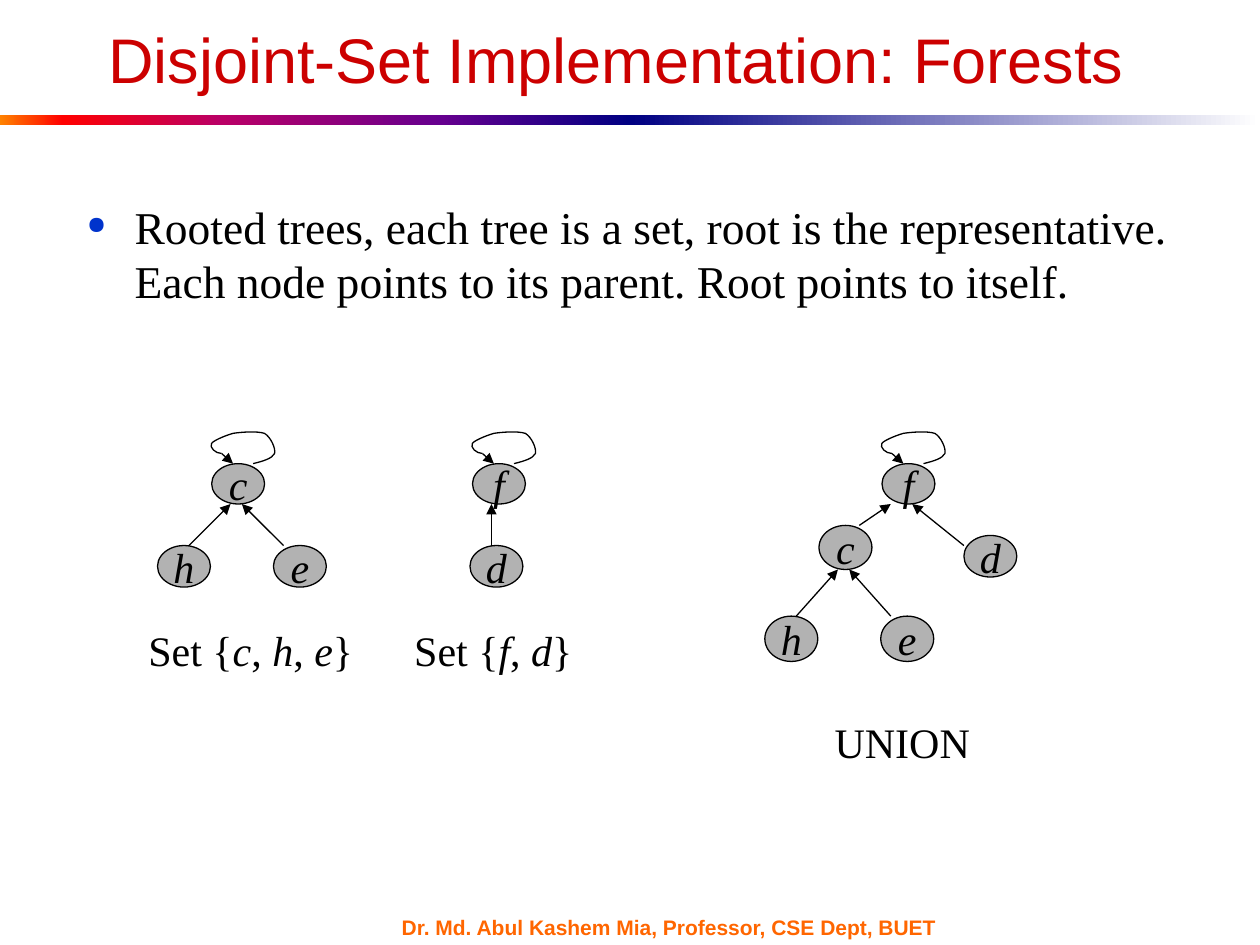
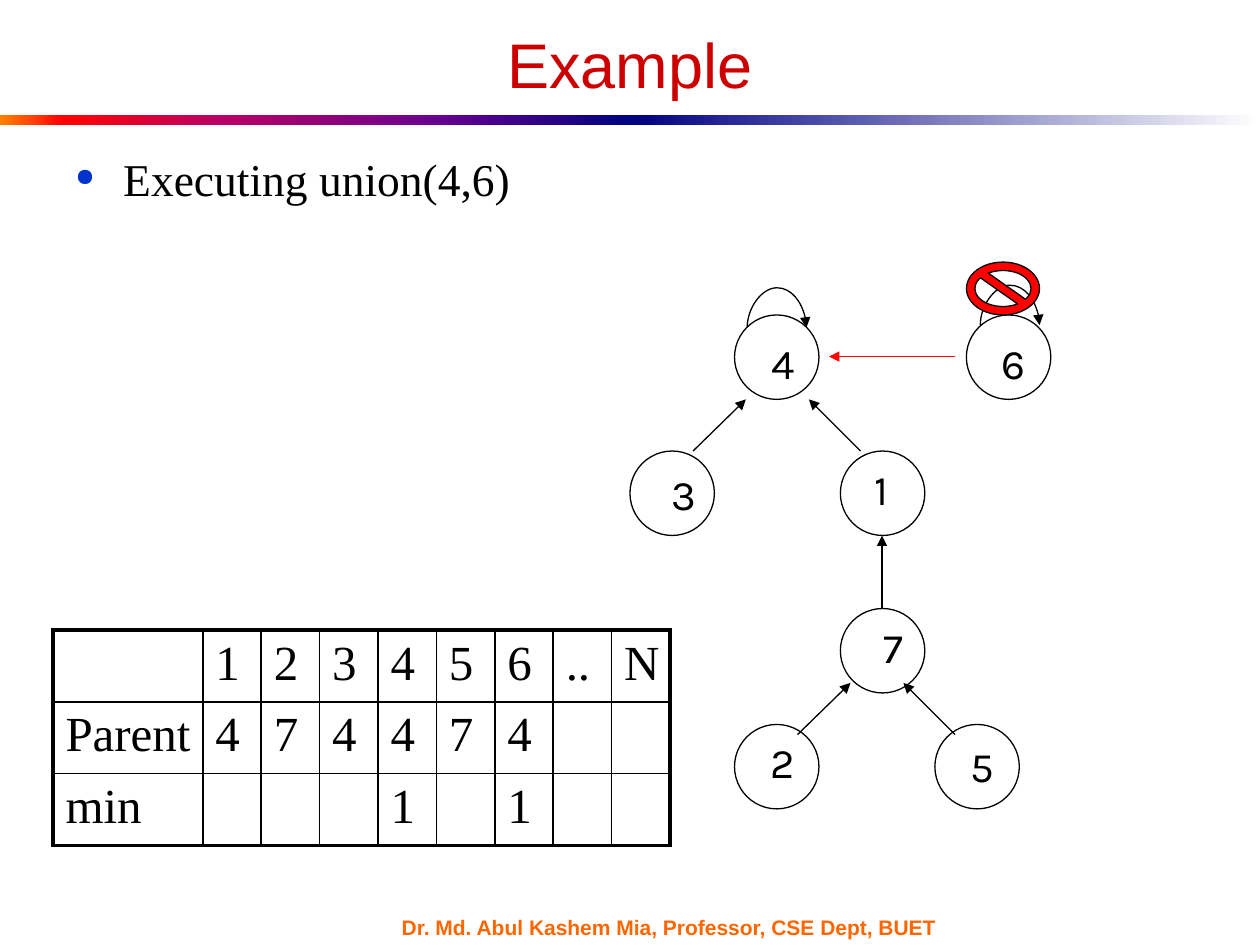
from dataclasses import dataclass
from typing import Any, NamedTuple

import lxml.etree
import pptx
import pptx.dml.color
import pptx.enum.shapes
import pptx.enum.text
import pptx.oxml
import pptx.oxml.ns
import pptx.util

Inches = pptx.util.Inches
Pt = pptx.util.Pt
qn = pptx.oxml.ns.qn
Align = pptx.enum.text.PP_ALIGN
Anchor = pptx.enum.text.MSO_ANCHOR
Preset = pptx.enum.shapes.MSO_SHAPE
Connector = pptx.enum.shapes.MSO_CONNECTOR


@dataclass(frozen=True)
class Theme:
    black: str = "000000"
    red: str = "FF0000"
    title: str = "CC0000"
    bullet: str = "0033CC"
    footer: str = "FF6600"
    node: str = "B2B2B2"
    sans: str = "Arial"
    serif: str = "Times New Roman"
    label: str = "Karla"
    title_size: float = 36
    table_size: float = 28
    body_size: float = 26
    label_size: float = 24
    footer_size: float = 12
    bullet_percent: int = 54
    thin: float = 0.75
    inner_border: float = 1
    outer_border: float = 2.25


THEME = Theme()
FOOTER = "Dr. Md. Abul Kashem Mia, Professor, CSE Dept, BUET"


class Box(NamedTuple):
    left: float
    top: float
    width: float
    height: float

    def lengths(self) -> list[int]:
        return [Inches(value) for value in self]


class Band(NamedTuple):
    left: float
    stops: list[tuple[int, str]]


class SetNode(NamedTuple):
    label: str
    left: float
    top: float
    height: float


class NumberNode(NamedTuple):
    label: str
    left: float
    top: float
    label_box: Box


class Arrow(NamedTuple):
    start: tuple[float, float]
    end: tuple[float, float]
    color: str = THEME.black


BANDS = [
    Band(0, [(0, "FF8200"), (10, "FF0000"), (35, "BA0066"), (70, "66008F"), (100, "000082")]),
    Band(5, [(0, "000082"), (100, "FFFFFF")]),
]

# Control points of the self-loop, relative to the left and top of its node
ROOT_LOOP = [
    (0.33, 0), (0.41, -0.02), (0.48, -0.04), (0.5, -0.08),
    (0.51, -0.12), (0.47, -0.21), (0.42, -0.24),
    (0.36, -0.26), (0.23, -0.25), (0.17, -0.24),
    (0.1, -0.22), (0.01, -0.18), (0, -0.16),
    (-0.02, -0.13), (0.03, -0.08), (0.08, -0.08),
]


# Formatting helpers
def rgb(color: str) -> pptx.dml.color.RGBColor:
    return pptx.dml.color.RGBColor.from_string(color)


def style_font(font: Any, size: float, name: str, color: str = THEME.black,
               bold: bool = False, italic: bool = False) -> None:
    font.size, font.name = Pt(size), name
    font.bold, font.italic = bold, italic
    font.color.rgb = rgb(color)


def style_line(shape: Any, color: str = THEME.black) -> None:
    shape.line.color.rgb = rgb(color)
    shape.line.width = Pt(THEME.thin)


def style_shape(shape: Any, fill: str | None = None) -> None:
    shape.shadow.inherit = False
    if fill:
        shape.fill.solid()
        shape.fill.fore_color.rgb = rgb(fill)
    else:
        shape.fill.background()
    style_line(shape)


def style_arrow(connector: Any, color: str = THEME.black) -> None:
    style_line(connector, color)
    lxml.etree.SubElement(connector.line._get_or_add_ln(), qn("a:tailEnd"), type="triangle")
    lxml.etree.SubElement(connector.element.spPr, qn("a:effectLst"))


def add_text(slide: Any, box: Box, text: str, wrap: bool = True) -> Any:
    frame = slide.shapes.add_textbox(*box.lengths()).text_frame
    frame.word_wrap = wrap
    frame.text = text
    return frame


# Parts shared by the slides
def add_band(slide: Any, band: Band) -> None:
    shape = slide.shapes.add_shape(Preset.RECTANGLE, *Box(band.left, 0.91, 5, 0.08).lengths())
    shape.shadow.inherit = False
    shape.line.fill.background()
    shape.fill.gradient()
    shape.fill.gradient_angle = 0
    stop_list = shape.element.spPr.find(".//" + qn("a:gsLst"))
    for stop in list(stop_list):
        stop_list.remove(stop)
    for position, color in band.stops:
        stop = lxml.etree.SubElement(stop_list, qn("a:gs"), pos=str(position * 1000))
        lxml.etree.SubElement(stop, qn("a:srgbClr"), val=color)


def add_base_slide(presentation: Any, title: str, title_box: Box) -> Any:
    slide = presentation.slides.add_slide(presentation.slide_layouts[5])
    for band in BANDS:
        add_band(slide, band)

    footer = add_text(slide, Box(3.09, 7.27, 4.67, 0.18), FOOTER)
    footer.margin_top = footer.margin_bottom = 0
    footer.vertical_anchor = Anchor.MIDDLE
    style_font(footer.paragraphs[0].runs[0].font, THEME.footer_size, THEME.sans, THEME.footer, bold=True)

    shape = slide.shapes.title
    shape.left, shape.top, shape.width, shape.height = title_box.lengths()
    frame = shape.text_frame
    frame.text = title
    frame.auto_size = pptx.enum.text.MSO_AUTO_SIZE.NONE
    frame.vertical_anchor = Anchor.MIDDLE
    paragraph = frame.paragraphs[0]
    paragraph.alignment = Align.CENTER
    style_font(paragraph.runs[0].font, THEME.title_size, THEME.sans, THEME.title)
    return slide


def add_bullet(slide: Any, box: Box, text: str) -> None:
    paragraph = add_text(slide, box, text).paragraphs[0]
    properties = paragraph._p.get_or_add_pPr()
    properties.set("marL", str(Inches(0.38)))
    properties.set("indent", str(Inches(-0.38)))
    color = lxml.etree.SubElement(properties, qn("a:buClr"))
    lxml.etree.SubElement(color, qn("a:srgbClr"), val=THEME.bullet)
    lxml.etree.SubElement(properties, qn("a:buSzPct"), val=str(THEME.bullet_percent * 1000))
    lxml.etree.SubElement(properties, qn("a:buChar"), char="●")
    style_font(paragraph.runs[0].font, THEME.body_size, THEME.serif)


# Diagram parts
def add_arrow(slide: Any, arrow: Arrow) -> None:
    ends = [Inches(value) for value in (*arrow.start, *arrow.end)]
    style_arrow(slide.shapes.add_connector(Connector.STRAIGHT, *ends), arrow.color)


def add_root_loop(slide: Any, left: float, top: float) -> None:
    vertices = [(Inches(left + x), Inches(top + y)) for x, y in ROOT_LOOP]
    builder = slide.shapes.build_freeform(*vertices[0])
    builder.add_line_segments(vertices[1:], close=False)
    loop = builder.convert_to_shape()
    style_shape(loop)
    # Each three points become one cubic curve
    outline = loop.element.spPr.find(".//" + qn("a:path"))
    segments = outline.findall(qn("a:lnTo"))
    for first in range(0, len(segments), 3):
        curve = lxml.etree.SubElement(outline, qn("a:cubicBezTo"))
        for segment in segments[first:first + 3]:
            curve.append(segment[0])
            outline.remove(segment)
    add_arrow(slide, Arrow((left + 0.08, top - 0.08), (left + 0.17, top)))


def add_arc_loop(slide: Any, left: float, top: float) -> None:
    """Curved connector turned a quarter, bulging far above its two ends."""
    half_span = 0.47 / 2
    middle, depth = Inches(left + half_span), Pt(0.125)
    connector = slide.shapes.add_connector(
        Connector.CURVE, middle, Inches(top + half_span), middle + depth, Inches(top - half_span))
    properties = connector.element.spPr
    properties.find(qn("a:xfrm")).set("rot", str(90 * 60000))
    adjustments = properties.find(".//" + qn("a:avLst"))
    lxml.etree.SubElement(adjustments, qn("a:gd"), name="adj1", fmla="val -20000000")
    style_arrow(connector)


def add_set_node(slide: Any, node: SetNode) -> None:
    shape = slide.shapes.add_shape(Preset.OVAL, *Box(node.left, node.top, 0.42, node.height).lengths())
    style_shape(shape, THEME.node)
    frame = shape.text_frame
    frame.word_wrap = False
    frame.vertical_anchor = Anchor.MIDDLE
    frame.text = node.label
    paragraph = frame.paragraphs[0]
    paragraph.alignment = Align.CENTER
    style_font(paragraph.runs[0].font, THEME.label_size, THEME.serif, italic=True)


def add_caption(slide: Any, box: Box, marked_text: str) -> None:
    """Text between asterisks is italic."""
    paragraph = add_text(slide, box, "", wrap=False).paragraphs[0]
    paragraph.alignment = Align.CENTER
    for index, part in enumerate(marked_text.split("*")):
        run = paragraph.add_run()
        run.text = part
        style_font(run.font, THEME.label_size, THEME.serif, italic=index % 2 == 1)


def add_number_node(slide: Any, node: NumberNode) -> None:
    style_shape(slide.shapes.add_shape(Preset.OVAL, *Box(node.left, node.top, 0.67, 0.67).lengths()))
    paragraph = add_text(slide, node.label_box, node.label).paragraphs[0]
    paragraph.alignment = Align.CENTER
    style_font(paragraph.runs[0].font, THEME.label_size, THEME.label)


def add_parent_table(slide: Any, box: Box, rows: list[list[str]]) -> None:
    last_row, last_column = len(rows) - 1, len(rows[0]) - 1
    table = slide.shapes.add_table(len(rows), len(rows[0]), *box.lengths()).table
    table.first_row = table.horz_banding = False
    header_width = 1.19
    for index, column in enumerate(table.columns):
        column.width = Inches((box.width - header_width) / last_column if index else header_width)
    for r, row in enumerate(rows):
        for c, text in enumerate(row):
            cell = table.cell(r, c)
            cell.fill.background()
            cell.margin_right = Inches(0.05)
            if text:
                cell.text = text
                style_font(cell.text_frame.paragraphs[0].runs[0].font, THEME.table_size, THEME.serif)
            outer = {"L": c == 0, "R": c == last_column, "T": r == 0, "B": r == last_row}
            for position, (side, is_outer) in enumerate(outer.items()):
                width = Pt(THEME.outer_border if is_outer else THEME.inner_border)
                border = lxml.etree.Element(qn(f"a:ln{side}"), w=str(width))
                fill = lxml.etree.SubElement(border, qn("a:solidFill"))
                lxml.etree.SubElement(fill, qn("a:srgbClr"), val=THEME.black)
                cell._tc.get_or_add_tcPr().insert(position, border)


# Slides
def build_forests(presentation: Any) -> None:
    slide = add_base_slide(presentation, "Disjoint-Set Implementation: Forests ", Box(0.51, 0.09, 8.9, 0.75))
    add_bullet(slide, Box(0.59, 1.53, 8.89, 1.2),
               "Rooted trees, each tree is a set, root is the representative. "
               "Each node points to its parent. Root points to itself.")
    roots = [SetNode("c", 1.68, 3.68, 0.32), SetNode("f", 3.75, 3.68, 0.32), SetNode("f", 7, 3.68, 0.32)]
    children = [
        SetNode("h", 1.25, 4.33, 0.33), SetNode("e", 2.17, 4.33, 0.33), SetNode("d", 3.73, 4.33, 0.33),
        SetNode("d", 7.65, 4.25, 0.33), SetNode("c", 6.5, 4.17, 0.35),
        SetNode("h", 6.07, 4.89, 0.36), SetNode("e", 6.99, 4.89, 0.36),
    ]
    for node in roots + children:
        add_set_node(slide, node)
    for root in roots:
        add_root_loop(slide, root.left, root.top)
    for arrow in [
        Arrow((1.5, 4.33), (1.83, 4)), Arrow((2.25, 4.33), (1.92, 4)), Arrow((3.9, 4.33), (3.9, 4)),
        Arrow((6.32, 4.89), (6.65, 4.52)), Arrow((7.07, 4.89), (6.74, 4.52)),
        Arrow((6.82, 4.17), (7.07, 4)), Arrow((7.65, 4.33), (7.24, 4)),
    ]:
        add_arrow(slide, arrow)
    add_caption(slide, Box(1.07, 4.91, 1.84, 0.5), "Set {*c*, *h*, *e*}")
    add_caption(slide, Box(3.18, 4.91, 1.47, 0.5), "Set {*f*, *d*}")
    add_caption(slide, Box(6.52, 5.64, 1.28, 0.5), "UNION")


def build_example(presentation: Any) -> None:
    slide = add_base_slide(presentation, "Example", Box(0.5, 0.25, 9, 0.51))
    add_bullet(slide, Box(0.5, 1.15, 9, 4.75), "Executing union(4,6)")
    for node in [
        NumberNode("4", 5.83, 2.5, Box(6, 2.63, 0.43, 0.5)), NumberNode("6", 7.67, 2.5, Box(7.83, 2.63, 0.43, 0.5)),
        NumberNode("3", 5, 3.58, Box(5.23, 3.67, 0.37, 0.5)), NumberNode("1", 6.67, 3.58, Box(6.83, 3.63, 0.33, 0.5)),
        NumberNode("7", 6.67, 4.83, Box(6.83, 4.88, 0.52, 0.5)),
        NumberNode("2", 5.83, 5.75, Box(6, 5.8, 0.43, 0.5)), NumberNode("5", 7.42, 5.75, Box(7.58, 5.83, 0.43, 0.5)),
    ]:
        add_number_node(slide, node)
    for arrow in [
        Arrow((7.58, 5.83), (7.17, 5.42)), Arrow((6.33, 5.83), (6.75, 5.42)), Arrow((7, 4.83), (7, 4.25)),
        Arrow((6.83, 3.58), (6.42, 3.17)), Arrow((5.5, 3.58), (5.92, 3.17)),
        Arrow((7.58, 2.83), (6.58, 2.83), THEME.red),
    ]:
        add_arrow(slide, arrow)
    for left, top in [(5.93, 2.6), (7.78, 2.58)]:
        add_arc_loop(slide, left, top)
    add_parent_table(slide, Box(0.42, 5, 4.9, 1.71), [
        ["", "1", "2", "3", "4", "5", "6", "..", "N"],
        ["Parent", "4", "7", "4", "4", "7", "4", "", ""],
        ["min", "", "", "", "1", "", "1", "", ""],
    ])
    # Node 6 stops pointing to itself
    forbidden = slide.shapes.add_shape(Preset.NO_SYMBOL, *Box(7.67, 2.08, 0.58, 0.42).lengths())
    forbidden.adjustments[0] = 0.16
    style_shape(forbidden, THEME.red)


def main() -> None:
    presentation = pptx.Presentation()
    presentation.slide_width, presentation.slide_height = Inches(10), Inches(7.5)
    build_forests(presentation)
    build_example(presentation)
    presentation.save("out.pptx")


if __name__ == "__main__":
    main()
